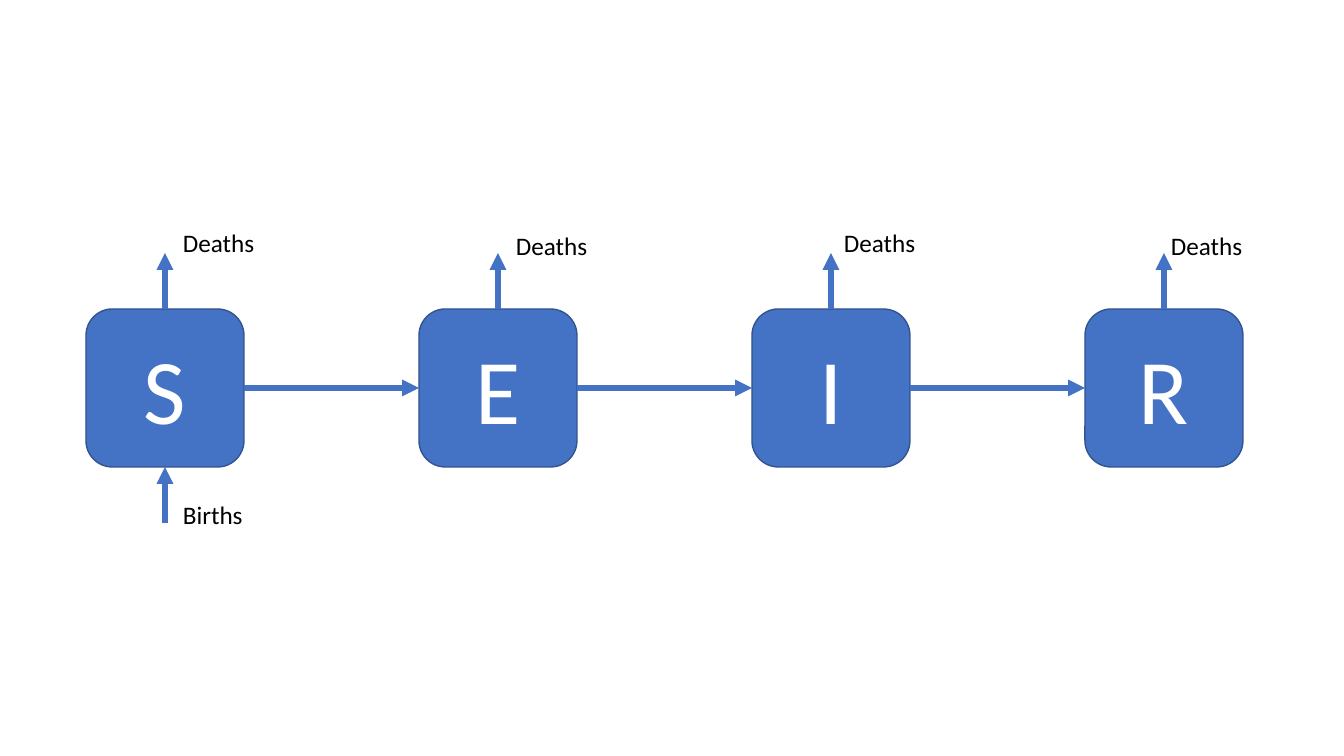
import dataclasses
import typing

import pptx
import pptx.dml.color
import pptx.enum.shapes
import pptx.enum.text
import pptx.oxml
import pptx.oxml.ns
import pptx.util

BLUE = pptx.dml.color.RGBColor(0x44, 0x72, 0xC4)
DARK_BLUE = pptx.dml.color.RGBColor(0x32, 0x54, 0x91)
WHITE = pptx.dml.color.RGBColor(0xFF, 0xFF, 0xFF)
BLACK = pptx.dml.color.RGBColor(0x00, 0x00, 0x00)

# Lengths in px
SLIDE_WIDTH, SLIDE_HEIGHT = 1344, 756
EMU_PER_PX = pptx.util.Inches(40) / 3 / SLIDE_WIDTH
BOX_LEFT, BOX_TOP, BOX_SIZE, BOX_PITCH = 86, 309, 158, 333
FLOW_LENGTH = 56
LABEL_WIDTH, LABEL_HEIGHT = 97, 40

TOP, LEFT, BOTTOM, RIGHT = range(4)

LETTER_FONT = {"name": "Calibri", "size": pptx.util.Pt(66)}
LABEL_FONT = {"name": "Calibri", "size": pptx.util.Pt(18)}


@dataclasses.dataclass(frozen=True)
class Label:
    text: str
    left: int
    top: int


@dataclasses.dataclass(frozen=True)
class Compartment:
    letter: str
    deaths: Label


COMPARTMENTS = [
    Compartment("S", Label("Deaths", 173, 222)),
    Compartment("E", Label("Deaths", 506, 225)),
    Compartment("I", Label("Deaths", 834, 222)),
    Compartment("R", Label("Deaths", 1161, 225)),
]
BIRTHS = Label("Births", 173, 494)


def px(length: float) -> pptx.util.Emu:
    return pptx.util.Emu(round(length * EMU_PER_PX))


def write_text(shape: typing.Any, text: str, font_format: dict[str, typing.Any],
               color: pptx.dml.color.RGBColor) -> typing.Any:
    paragraph = shape.text_frame.paragraphs[0]
    run = paragraph.add_run()
    run.text = text
    for name, value in font_format.items():
        setattr(run.font, name, value)
    run.font.color.rgb = color
    return paragraph


def add_box(slide: typing.Any, letter: str, left: int) -> typing.Any:
    shape = slide.shapes.add_shape(
        pptx.enum.shapes.MSO_SHAPE.ROUNDED_RECTANGLE,
        px(left), px(BOX_TOP), px(BOX_SIZE), px(BOX_SIZE))
    shape.shadow.inherit = False
    shape.fill.solid()
    shape.fill.fore_color.rgb = BLUE
    shape.line.color.rgb = DARK_BLUE
    shape.line.width = pptx.util.Pt(1)
    shape.text_frame.vertical_anchor = pptx.enum.text.MSO_ANCHOR.MIDDLE
    paragraph = write_text(shape, letter, LETTER_FONT, WHITE)
    paragraph.alignment = pptx.enum.text.PP_ALIGN.CENTER
    return shape


def add_arrow(slide: typing.Any, start: tuple[float, float],
              end: tuple[float, float]) -> typing.Any:
    connector = slide.shapes.add_connector(
        pptx.enum.shapes.MSO_CONNECTOR.STRAIGHT,
        *(px(value) for value in start + end))
    connector.line.color.rgb = BLUE
    connector.line.width = pptx.util.Pt(4)
    namespace = pptx.oxml.ns.nsdecls("a")
    connector.get_or_add_ln().append(
        pptx.oxml.parse_xml(f'<a:tailEnd {namespace} type="triangle"/>'))
    connector.element.spPr.append(
        pptx.oxml.parse_xml(f"<a:effectLst {namespace}/>"))
    return connector


def add_label(slide: typing.Any, label: Label) -> None:
    shape = slide.shapes.add_textbox(
        px(label.left), px(label.top), px(LABEL_WIDTH), px(LABEL_HEIGHT))
    shape.text_frame.word_wrap = True
    shape.text_frame.auto_size = pptx.enum.text.MSO_AUTO_SIZE.SHAPE_TO_FIT_TEXT
    write_text(shape, label.text, LABEL_FONT, BLACK)


def main() -> None:
    presentation = pptx.Presentation()
    presentation.slide_width = px(SLIDE_WIDTH)
    presentation.slide_height = px(SLIDE_HEIGHT)
    slide = presentation.slides.add_slide(presentation.slide_layouts[6])

    # Compartments
    lefts = [BOX_LEFT + BOX_PITCH * index for index in range(len(COMPARTMENTS))]
    boxes = [add_box(slide, compartment.letter, left)
             for compartment, left in zip(COMPARTMENTS, lefts)]

    # Progression from each compartment to the next
    middle = BOX_TOP + BOX_SIZE / 2
    for index, left in enumerate(lefts[:-1]):
        arrow = add_arrow(slide, (left + BOX_SIZE, middle),
                          (lefts[index + 1], middle))
        arrow.begin_connect(boxes[index], RIGHT)
        arrow.end_connect(boxes[index + 1], LEFT)

    # Deaths out of every compartment
    for compartment, box, left in zip(COMPARTMENTS, boxes, lefts):
        center = left + BOX_SIZE / 2
        arrow = add_arrow(slide, (center, BOX_TOP), (center, BOX_TOP - FLOW_LENGTH))
        arrow.begin_connect(box, TOP)
        add_label(slide, compartment.deaths)

    # Births into the first compartment
    center, bottom = lefts[0] + BOX_SIZE / 2, BOX_TOP + BOX_SIZE
    arrow = add_arrow(slide, (center, bottom + FLOW_LENGTH), (center, bottom))
    arrow.end_connect(boxes[0], BOTTOM)
    add_label(slide, BIRTHS)

    presentation.save("out.pptx")


if __name__ == "__main__":
    main()
